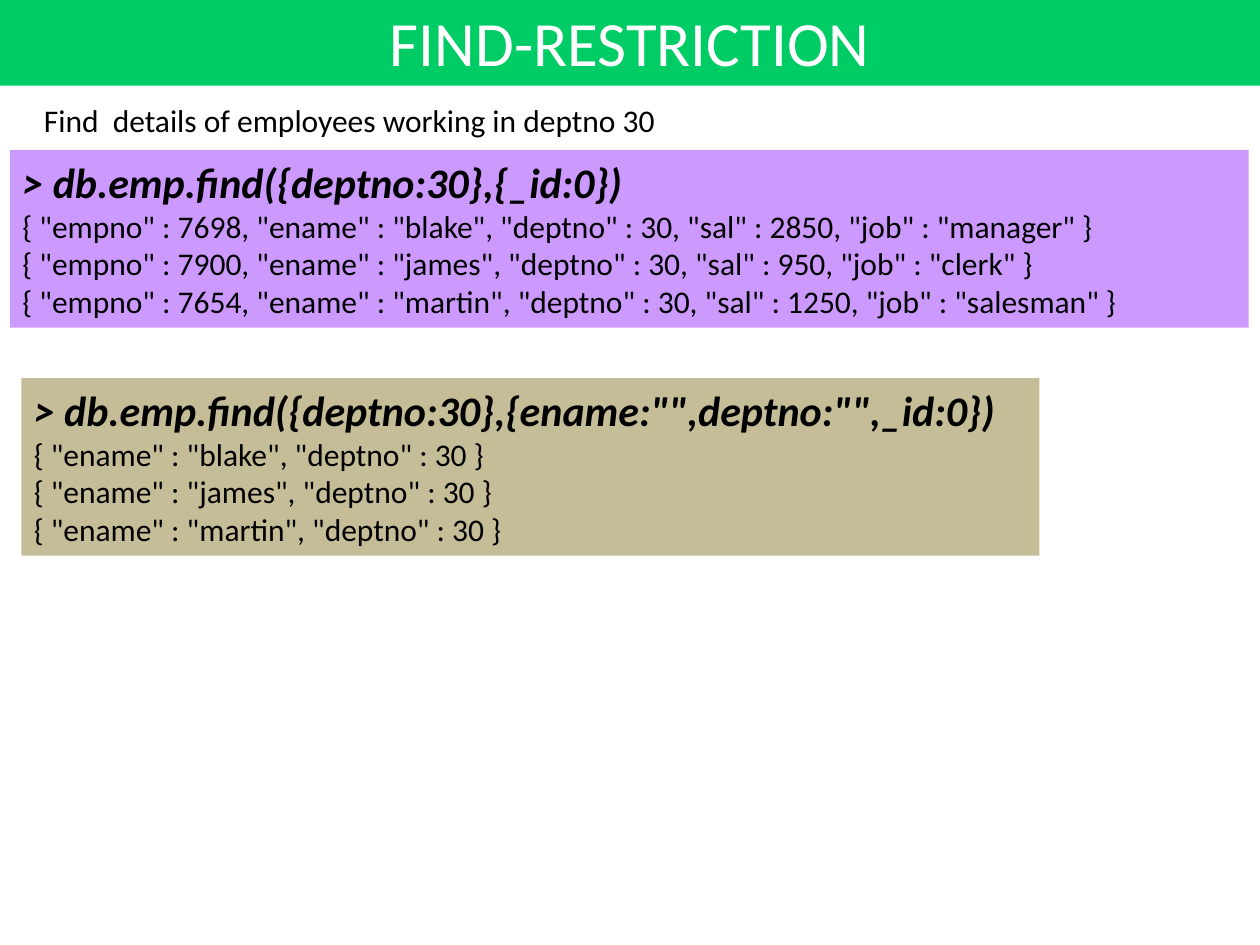
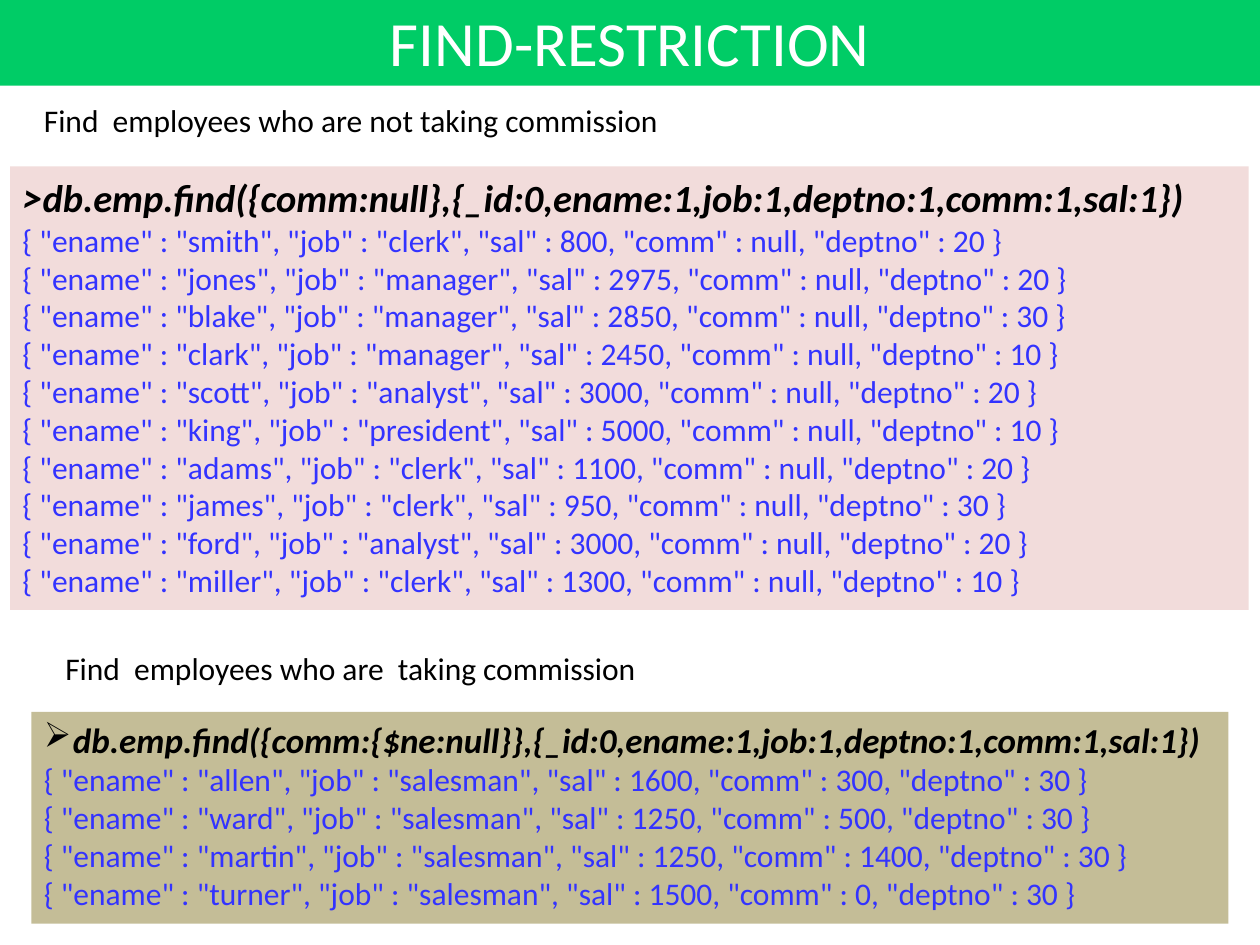
from dataclasses import dataclass
from lxml import etree
from pptx import Presentation
from pptx.dml.color import RGBColor
from pptx.enum.shapes import MSO_SHAPE
from pptx.enum.text import MSO_ANCHOR, MSO_AUTO_SIZE, PP_ALIGN
from pptx.oxml.ns import qn
from pptx.util import Inches, Pt

RECTANGLE = MSO_SHAPE.RECTANGLE
TOP, MIDDLE = MSO_ANCHOR.TOP, MSO_ANCHOR.MIDDLE
LEFT, CENTER = PP_ALIGN.LEFT, PP_ALIGN.CENTER
NO_FIT, GROW = MSO_AUTO_SIZE.NONE, MSO_AUTO_SIZE.SHAPE_TO_FIT_TEXT


@dataclass(frozen=True)
class Theme:
    font: str = "Calibri"
    band: str = "00CC66"
    white: str = "FFFFFF"
    black: str = "000000"
    blue: str = "3333FF"
    violet: str = "CC99FF"
    tan: str = "C4BD97"
    rose: str = "F2DCDB"
    title_size: int = 36
    text_size: int = 18
    command_size: int = 24
    prompt_size: int = 23
    long_command_size: int = 22
    longest_command_size: int = 20


theme = Theme()


def write(paragraph, text, size=theme.text_size, color=theme.black,
          strong=False, align=LEFT, bullet=None):
    if bullet:
        props = paragraph._p.get_or_add_pPr()
        props.set("marL", str(Inches(0.23)))
        props.set("indent", str(-Inches(0.23)))
        etree.SubElement(props, qn("a:buChar")).set("char", bullet)
    paragraph.alignment = align
    run = paragraph.add_run()
    run.text = text
    run.font.name = theme.font
    run.font.size = Pt(size)
    run.font.color.rgb = RGBColor.from_string(color)
    run.font.bold = run.font.italic = strong


full_records = [
    f'{{ "empno" : {empno}, "ename" : "{ename}", "deptno" : 30, "sal" : {sal}, "job" : "{job}" }}'
    for empno, ename, sal, job in [
        (7698, "blake", 2850, "manager"),
        (7900, "james", 950, "clerk"),
        (7654, "martin", 1250, "salesman"),
    ]
]
name_records = [f'{{ "ename" : "{ename}", "deptno" : 30 }}'
                for ename in ("blake", "james", "martin")]
without_commission = [
    f'{{ "ename" : "{ename}", "job" : "{job}", "sal" : {sal}, "comm" : null, "deptno" : {deptno} }}'
    for ename, job, sal, deptno in [
        ("smith", "clerk", 800, 20),
        ("jones", "manager", 2975, 20),
        ("blake", "manager", 2850, 30),
        ("clark", "manager", 2450, 10),
        ("scott", "analyst", 3000, 20),
        ("king", "president", 5000, 10),
        ("adams", "clerk", 1100, 20),
        ("james", "clerk", 950, 30),
        ("ford", "analyst", 3000, 20),
        ("miller", "clerk", 1300, 10),
    ]
]
with_commission = [
    f'{{ "ename" : "{ename}", "job" : "salesman", "sal" : {sal}, "comm" : {comm}, "deptno" : 30 }}'
    for ename, sal, comm in [
        ("allen", 1600, 300),
        ("ward", 1250, 500),
        ("martin", 1250, 1400),
        ("turner", 1500, 0),
    ]
]

lessons = [
    {
        "questions": [("Find  details of employees working in deptno 30", (0.25, 0.75, 5.11, 0.4))],
        "queries": [
            ((0.08, 1.19, 9.83, 1.41), theme.violet, theme.black, None,
             [("> db.emp.find({deptno:30},{_id:0})", theme.command_size)], full_records),
            ((0.17, 3, 8.08, 1.41), theme.tan, theme.black, None,
             [('> db.emp.find({deptno:30},{ename:"",deptno:"",_id:0})', theme.command_size)],
             name_records),
        ],
    },
    {
        "questions": [
            ("Find  employees who are not taking commission", (0.25, 0.75, 5.13, 0.4)),
            ("Find  employees who are  taking commission", (0.42, 5.1, 4.87, 0.4)),
        ],
        "queries": [
            ((0.08, 1.32, 9.83, 3.52), theme.rose, theme.blue, None,
             [(">", theme.prompt_size),
              ("db.emp.find({comm:null},{_id:0,ename:1,job:1,deptno:1,comm:1,sal:1})",
               theme.long_command_size)], without_commission),
            ((0.25, 5.65, 9.5, 1.68), theme.tan, theme.blue, "➢",
             [("db.emp.find({comm:{$ne:null}},{_id:0,ename:1,job:1,deptno:1,comm:1,sal:1})",
               theme.longest_command_size)], with_commission),
        ],
    },
]

deck = Presentation()
deck.slide_width, deck.slide_height = Inches(10), Inches(7.5)
title_only = deck.slide_layouts[5]

for lesson in lessons:
    slide = deck.slides.add_slide(title_only)
    title = slide.shapes.title
    title.left, title.top = Inches(0), Inches(-0.03)
    title.width, title.height = Inches(10), Inches(0.71)
    title.fill.solid()
    title.fill.fore_color.rgb = RGBColor.from_string(theme.band)
    title.text_frame.auto_size = NO_FIT
    title.text_frame.vertical_anchor = MIDDLE
    write(title.text_frame.paragraphs[0], "FIND-RESTRICTION",
          size=theme.title_size, color=theme.white, align=CENTER)

    for question, place in lesson["questions"]:
        label = slide.shapes.add_textbox(*map(Inches, place))
        label.text_frame.word_wrap = False
        label.text_frame.auto_size = GROW
        write(label.text_frame.paragraphs[0], question)

    for place, fill, record_color, bullet, command, records in lesson["queries"]:
        panel = slide.shapes.add_shape(RECTANGLE, *map(Inches, place))
        panel.shadow.inherit = False
        panel.fill.solid()
        panel.fill.fore_color.rgb = RGBColor.from_string(fill)
        panel.line.fill.background()
        frame = panel.text_frame
        frame.word_wrap = True
        frame.auto_size = GROW
        frame.vertical_anchor = TOP
        for part, size in command:
            write(frame.paragraphs[0], part, size=size, strong=True, bullet=bullet)
        for record in records:
            write(frame.add_paragraph(), record, color=record_color)

deck.save("out.pptx")
